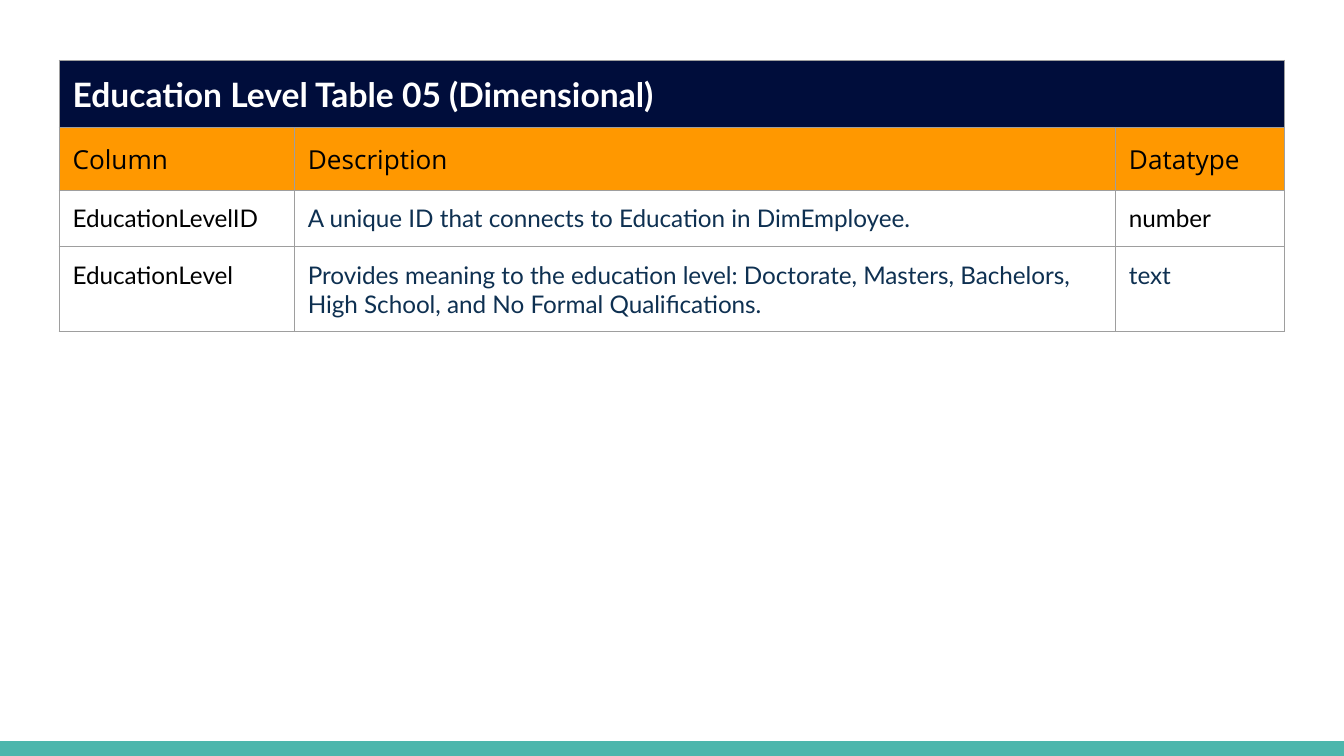
from dataclasses import dataclass

from lxml import etree
from pptx import Presentation
from pptx.dml.color import RGBColor
from pptx.enum.shapes import MSO_SHAPE
from pptx.oxml.ns import qn
from pptx.util import Inches, Pt

RECTANGLE = MSO_SHAPE.RECTANGLE
BLANK_LAYOUT = 6

# Widescreen slide, 16:9
SLIDE_WIDTH = 10
SLIDE_HEIGHT = SLIDE_WIDTH * 9 / 16
FOOTER_HEIGHT = 0.11


@dataclass(frozen=True)
class Theme:
    navy: str = "000D3B"
    orange: str = "FF9800"
    teal: str = "4DB6AC"
    ink: str = "0E3051"
    black: str = "000000"
    white: str = "FFFFFF"
    border: str = "9E9E9E"
    body_font: str = "Lato"
    header_font: str = "Open Sans"
    title_size: int = 18
    header_size: int = 14
    body_size: int = 13
    border_width: float = 0.75


THEME = Theme()

TITLE = "Education Level Table 05 (Dimensional)"
HEADERS = ("Column", "Description", "Datatype")
# Each entry: text and colour
FIELDS = (
    (
        ("EducationLevelID", THEME.black),
        ("A unique ID that connects to Education in DimEmployee.", THEME.ink),
        ("number", THEME.black),
    ),
    (
        ("EducationLevel", THEME.black),
        ("Provides meaning to the education level: Doctorate, Masters, "
         "Bachelors, High School, and No Formal Qualifications.", THEME.ink),
        ("text", THEME.ink),
    ),
)
COLUMN_WIDTHS = (1.75, 6.11, 1.26)
ROW_HEIGHT = 0.42


def add_footer_bar(slide):
    bar = slide.shapes.add_shape(
        RECTANGLE, Inches(0), Inches(SLIDE_HEIGHT - FOOTER_HEIGHT),
        Inches(SLIDE_WIDTH), Inches(FOOTER_HEIGHT))
    bar.shadow.inherit = False
    bar.fill.solid()
    bar.fill.fore_color.rgb = RGBColor.from_string(THEME.teal)
    bar.line.fill.background()


def set_borders(cell):
    properties = cell._tc.get_or_add_tcPr()
    for side in ("a:lnL", "a:lnR", "a:lnT", "a:lnB"):
        line = etree.SubElement(
            properties, qn(side), w=str(Pt(THEME.border_width)))
        fill = etree.SubElement(line, qn("a:solidFill"))
        etree.SubElement(fill, qn("a:srgbClr"), val=THEME.border)


def style_cell(cell, fill=None):
    cell.margin_left = cell.margin_right = Inches(0.1)
    cell.margin_top = cell.margin_bottom = Inches(0.1)
    set_borders(cell)
    if fill:
        cell.fill.solid()
        cell.fill.fore_color.rgb = RGBColor.from_string(fill)
    else:
        cell.fill.background()


def write_cell(cell, text, size, font_name, color, bold=False):
    cell.text_frame.text = text
    font = cell.text_frame.paragraphs[0].runs[0].font
    font.size = Pt(size)
    font.name = font_name
    font.bold = bold
    font.color.rgb = RGBColor.from_string(color)


def add_field_table(slide):
    row_count = len(FIELDS) + 2
    frame = slide.shapes.add_table(
        row_count, len(HEADERS), Inches(0.44), Inches(0.45),
        Inches(sum(COLUMN_WIDTHS)), Inches(ROW_HEIGHT * row_count))
    table = frame.table
    table.first_row = table.horz_banding = False
    for column, width in zip(table.columns, COLUMN_WIDTHS):
        column.width = Inches(width)

    # Cell fills and borders
    row_fills = (THEME.navy, THEME.orange) + (None,) * len(FIELDS)
    for row, fill in zip(table.rows, row_fills):
        row.height = Inches(ROW_HEIGHT)
        for cell in row.cells:
            style_cell(cell, fill)

    # Title row across all columns
    title_cell = table.cell(0, 0)
    title_cell.merge(table.cell(0, len(HEADERS) - 1))
    write_cell(title_cell, TITLE, THEME.title_size, THEME.body_font,
               THEME.white, bold=True)

    # Column headers
    for column, header in enumerate(HEADERS):
        write_cell(table.cell(1, column), header, THEME.header_size,
                   THEME.header_font, THEME.black)

    # Field descriptions
    for row, field in enumerate(FIELDS, start=2):
        for column, (text, color) in enumerate(field):
            write_cell(table.cell(row, column), text, THEME.body_size,
                       THEME.body_font, color)


def main():
    presentation = Presentation()
    presentation.slide_width = Inches(SLIDE_WIDTH)
    presentation.slide_height = Inches(SLIDE_HEIGHT)
    slide = presentation.slides.add_slide(
        presentation.slide_layouts[BLANK_LAYOUT])
    add_footer_bar(slide)
    add_field_table(slide)
    presentation.save("out.pptx")


if __name__ == "__main__":
    main()
